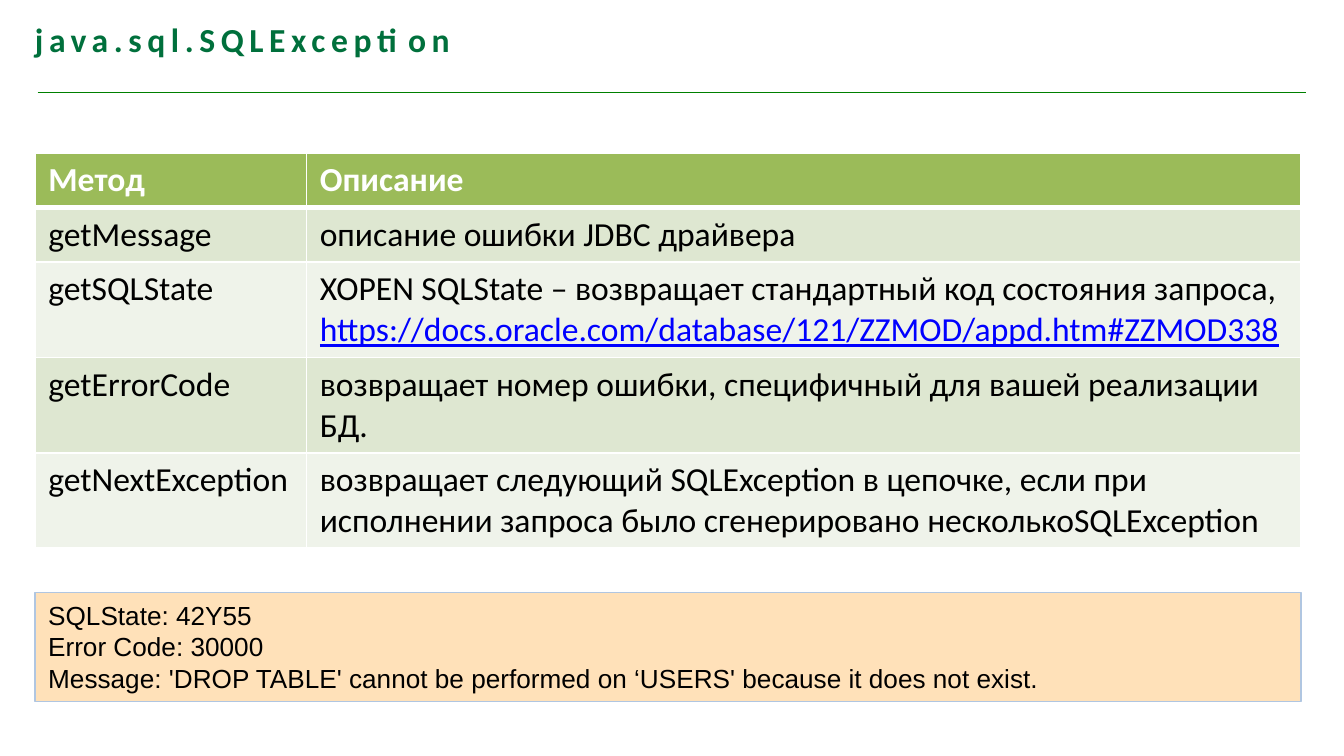
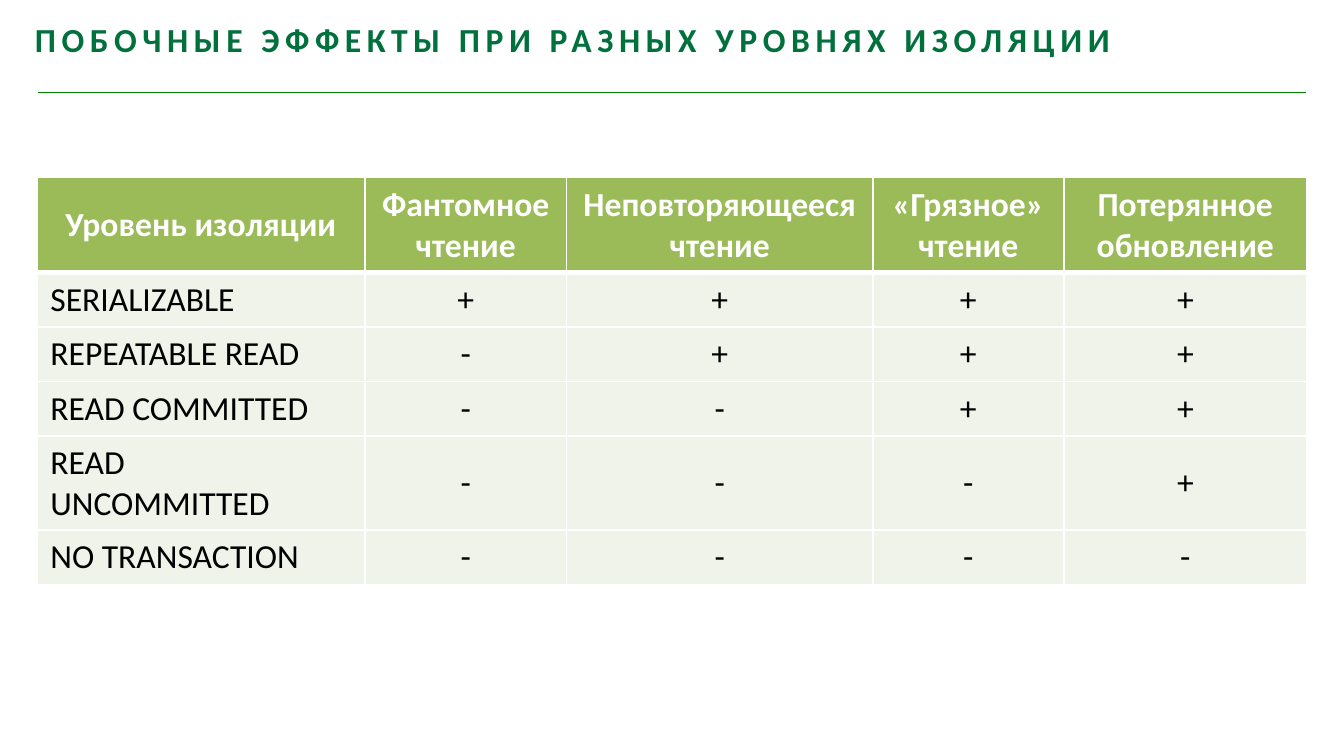
from lxml import etree
from pptx import Presentation
from pptx.dml.color import RGBColor
from pptx.enum import shapes, text
from pptx.oxml.ns import qn
from pptx.util import Emu, Inches, Pt

HUES = {
    "title": "00703C", "rule": "008000", "head": "9BBB59", "dark": "DEE7D1",
    "pale": "EFF3EA", "white": "FFFFFF", "black": "000000", "link": "0000FF",
    "note": "FFE1B9", "edge": "B0C6E1",
}
ALIGN = text.PP_ALIGN
MID = text.MSO_ANCHOR.MIDDLE
TOP = text.MSO_ANCHOR.TOP


def hue(name):
    return RGBColor.from_string(HUES[name])


def write(frame, lines, **look):
    """Fill a frame; a line is a string or a (string, format changes) pair."""
    frame.word_wrap = True
    for i, line in enumerate(lines):
        words, extra = (line, {}) if isinstance(line, str) else line
        fmt = {**look, **extra}
        para = frame.paragraphs[0] if i == 0 else frame.add_paragraph()
        para.alignment = fmt.get("align", ALIGN.LEFT)
        run = para.add_run()
        run.text = words
        font = run.font
        font.name = fmt.get("face", "Calibri")
        font.size = Pt(fmt.get("size", 18))
        font.bold = fmt.get("bold", False)
        font.underline = fmt.get("under", False)
        font.color.rgb = hue(fmt.get("color", "black"))
        if "track" in fmt:
            run._r.get_or_add_rPr().set("spc", str(fmt["track"] * 100))


def edge(cell, **widths):
    """Draw white cell borders; widths in points by side."""
    props = cell._tc.get_or_add_tcPr()
    for i, side in enumerate("LRTB"):
        line = etree.Element(qn("a:ln" + side), w=str(Pt(widths.get(side, 1))))
        fill = etree.SubElement(line, qn("a:solidFill"))
        etree.SubElement(fill, qn("a:srgbClr"), val=HUES["white"])
        props.insert(i, line)


class Deck:
    """Slides on a square grid, 100 columns wide."""

    def __init__(self):
        self.prs = Presentation()
        self.prs.slide_width = Inches(10)
        self.prs.slide_height = Emu(self.prs.slide_width * 9 // 16)
        self.unit = self.prs.slide_width / 100

    def grid(self, *spans):
        return [Emu(round(span * self.unit)) for span in spans]

    def page(self, title, wide, high):
        """Start a slide with its rule and spaced title."""
        self.slide = self.prs.slides.add_slide(self.prs.slide_layouts[6])
        self.rule(2.8, 97.2, 6.9)
        box = self.slide.shapes.add_textbox(*self.grid(2.6, 0.9, wide, high))
        frame = box.text_frame
        frame.margin_left = frame.margin_bottom = 0
        write(frame, [title], color="title", bold=True, track=3)

    def rule(self, left, right, row):
        line = self.slide.shapes.add_connector(
            shapes.MSO_CONNECTOR.STRAIGHT, *self.grid(left, row, right, row))
        line.line.color.rgb = hue("rule")
        line.line.width = Pt(0.75)
        etree.SubElement(line._element.spPr, qn("a:effectLst"))

    def table(self, left, top, cols, deep, rows, bands, center=False):
        """Rows take the heights that their line counts (deep) call for."""
        highs = [1 + 3.05 * count for count in deep]
        place = self.grid(left, top, sum(cols), sum(highs))
        table = self.slide.shapes.add_table(len(rows), len(cols), *place).table
        for col, wide in zip(table.columns, self.grid(*cols)):
            col.width = wide
        for row, high in zip(table.rows, self.grid(*highs)):
            row.height = high
        for r, row in enumerate(rows):
            for c, words in enumerate(row):
                cell = table.cell(r, c)
                cell.fill.solid()
                cell.fill.fore_color.rgb = hue(bands[r % len(bands)] if r else "head")
                cell.vertical_anchor = MID if center else TOP
                edge(cell, B=1 if r else 3, T=3 if r == 1 else 1)
                mid = center and (r == 0 or c > 0)
                write(cell.text_frame, [words] if isinstance(words, str) else words,
                      bold=r == 0, color="black" if r else "white",
                      align=ALIGN.CENTER if mid else ALIGN.LEFT)

    def note(self, left, top, wide, high, lines):
        box = self.slide.shapes.add_shape(
            shapes.MSO_SHAPE.RECTANGLE, *self.grid(left, top, wide, high))
        box.shadow.inherit = False
        box.fill.solid()
        box.fill.fore_color.rgb = hue("note")
        box.line.color.rgb = hue("edge")
        box.line.width = Pt(0.75)
        box.text_frame.vertical_anchor = TOP
        write(box.text_frame, lines, face="Arial", size=14)


def main():
    deck = Deck()

    # Exception methods
    deck.page("java.sql.SQLException", 71.7, 3.5)
    deck.table(2.6, 11.4, [20.2, 74], [1, 1, 2, 2, 2], [
        ["Метод", "Описание"],
        ["getMessage", "описание ошибки JDBC драйвера"],
        ["getSQLState", [
            "XOPEN SQLState – возвращает стандартный код состояния запроса,",
            ("https://docs.oracle.com/database/121/ZZMOD/appd.htm#ZZMOD338",
             {"color": "link", "under": True})]],
        ["getErrorCode", "возвращает номер ошибки, специфичный для вашей реализации БД."],
        ["getNextException", "возвращает следующий SQLException в цепочке, если при "
         "исполнении запроса было сгенерировано несколькоSQLException"],
    ], ["pale", "dark"])
    deck.note(2.6, 44.1, 94.2, 8.1, [
        "SQLState: 42Y55",
        "Error Code: 30000",
        "Message: 'DROP TABLE' cannot be performed on ‘USERS' because it does not exist.",
    ])

    # Isolation levels: each one guards against one effect fewer
    deck.page("ПОБОЧНЫЕ ЭФФЕКТЫ ПРИ РАЗНЫХ УРОВНЯХ ИЗОЛЯЦИИ", 82.8, 6.6)
    heads = ["Уровень изоляции", "Фантомное чтение", "Неповторяющееся чтение",
             "«Грязное» чтение", "Потерянное обновление"]
    levels = ["SERIALIZABLE", "REPEATABLE READ", "READ COMMITTED",
              "READ UNCOMMITTED", "NO TRANSACTION"]
    marks = [[level, *("-" * i + "+" * (4 - i))] for i, level in enumerate(levels)]
    deck.table(2.75, 13.2, [24.4, 15, 22.8, 14.2, 18.1], [2] + [1] * len(levels),
               [heads, *marks], ["pale"], center=True)

    deck.prs.save("out.pptx")


if __name__ == "__main__":
    main()
